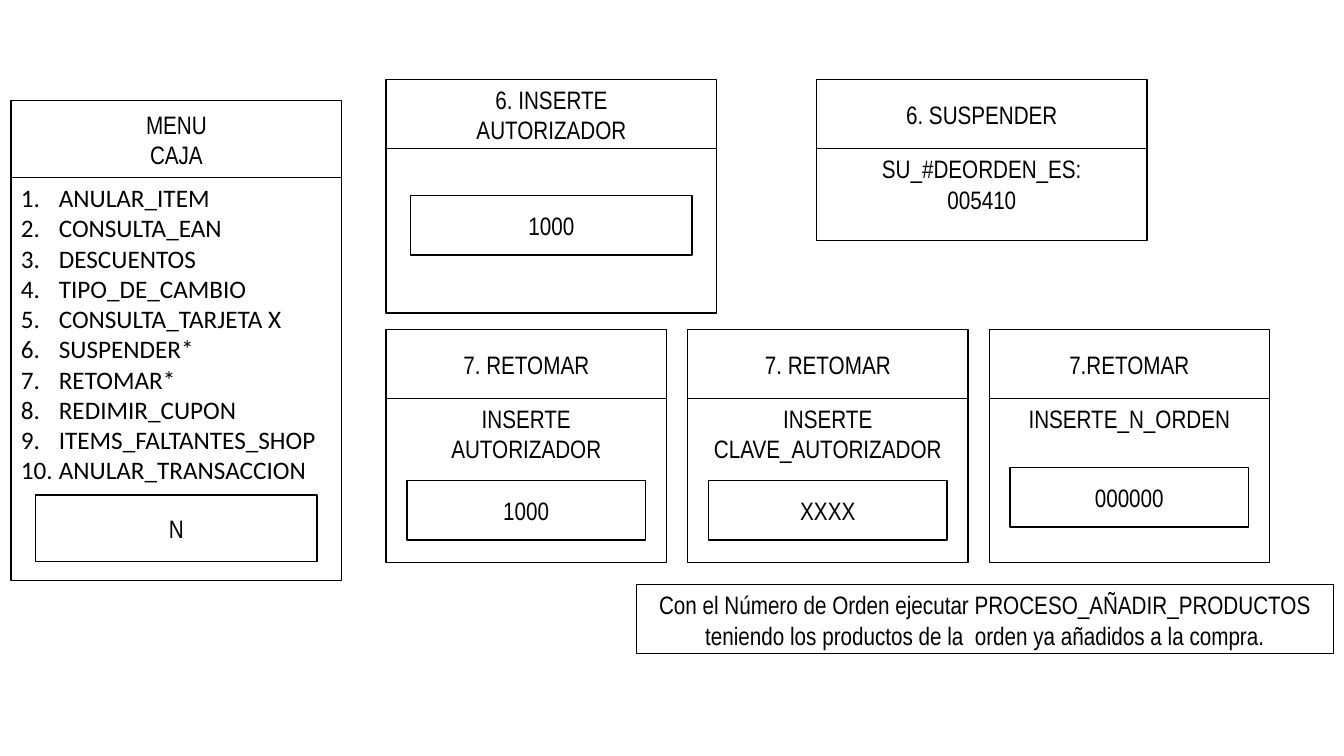
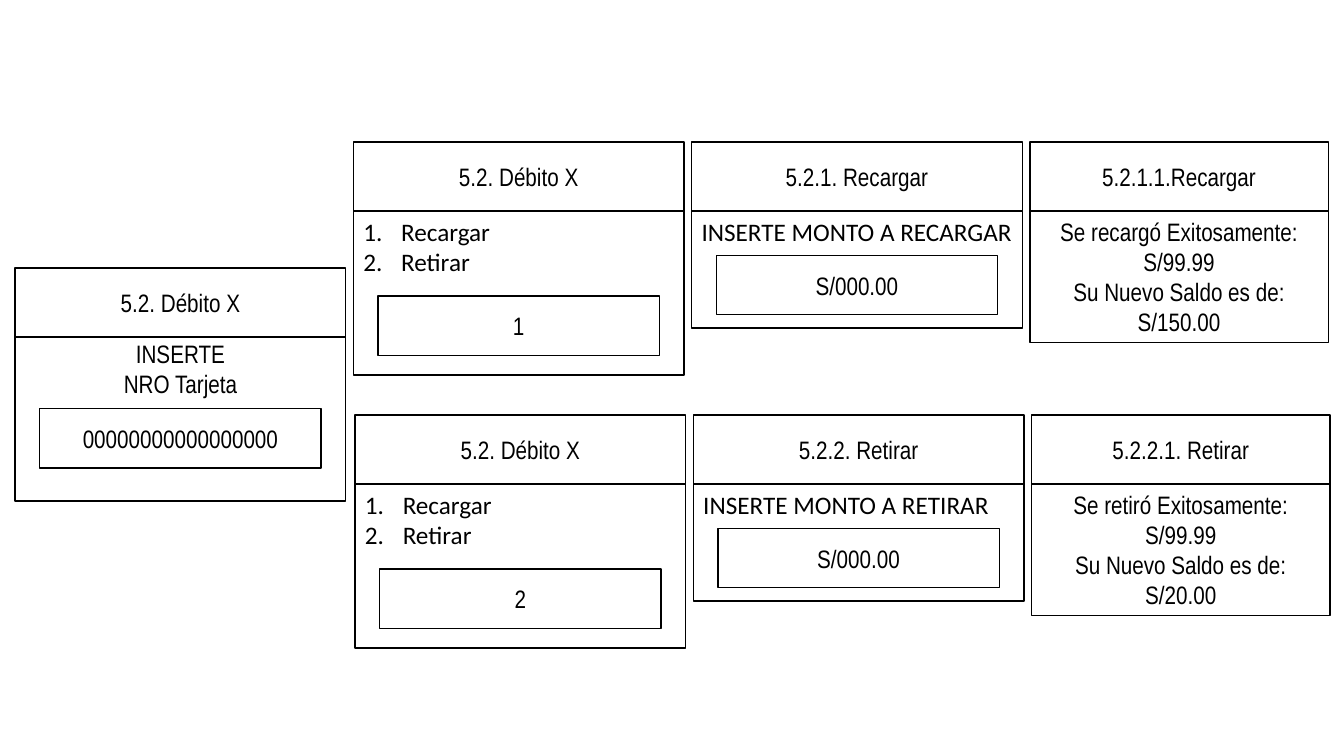
from lxml import etree
from pptx import Presentation
from pptx.dml.color import RGBColor
from pptx.enum.shapes import MSO_SHAPE
from pptx.enum.text import MSO_ANCHOR, PP_ALIGN
from pptx.oxml.ns import qn
from pptx.util import Pt

RECTANGLE = MSO_SHAPE.RECTANGLE
TOP, MIDDLE = MSO_ANCHOR.TOP, MSO_ANCHOR.MIDDLE
LEFT, CENTER = PP_ALIGN.LEFT, PP_ALIGN.CENTER

INK, PAPER = "000000", "FFFFFF"
NARROW, PLAIN = "Arial Narrow", "Calibri"
TEXT_SIZE = 18
LIST_INDENT = 27
TITLE_HEIGHT = 49.2
FIELD_HEIGHT = 42.5
WIDE, MEDIUM, SLIM = 236.2, 213.2, 200.2
WIDE_FIELD, SLIM_FIELD = 201, 170.6
TALL = 166.5


def color(hex_string):
    """Return the colour for a hex string."""
    return RGBColor.from_string(hex_string)


def number_paragraph(paragraph):
    """Give a paragraph automatic numbering with a hanging indent."""
    properties = paragraph._p.get_or_add_pPr()
    properties.set("marL", str(Pt(LIST_INDENT)))
    properties.set("indent", str(-Pt(LIST_INDENT)))
    numbering = etree.SubElement(properties, qn("a:buAutoNum"))
    numbering.set("type", "arabicPeriod")


def add_box(slide, left, top, width, height, lines=(), anchor=MIDDLE,
            align=CENTER, font=NARROW, numbered=False, top_inset=3.6):
    """Add an outlined rectangle with one paragraph per line of text."""
    shape = slide.shapes.add_shape(RECTANGLE, Pt(left), Pt(top), Pt(width), Pt(height))
    shape.shadow.inherit = False
    shape.fill.solid()
    shape.fill.fore_color.rgb = color(PAPER)
    shape.line.color.rgb = color(INK)
    shape.line.width = Pt(1)
    frame = shape.text_frame
    frame.word_wrap = True
    frame.vertical_anchor = anchor
    frame.margin_top = Pt(top_inset)
    for index, line in enumerate(lines):
        paragraph = frame.add_paragraph() if index else frame.paragraphs[0]
        paragraph.alignment = align
        if numbered:
            number_paragraph(paragraph)
        run = paragraph.add_run()
        run.text = line
        run.font.name = font
        run.font.size = Pt(TEXT_SIZE)
        run.font.color.rgb = color(INK)


def add_screen(slide, left, top, width, height, title, body=(), field=None,
               field_top=0, field_width=WIDE_FIELD, field_height=FIELD_HEIGHT,
               title_height=TITLE_HEIGHT, **body_style):
    """Add a screen: a body under a title band, with an optional centred field."""
    add_box(slide, left, top + title_height, width, height - title_height,
            body, anchor=TOP, **body_style)
    add_box(slide, left, top, width, title_height, title)
    if field:
        add_box(slide, left + (width - field_width) / 2, top + field_top,
                field_width, field_height, [field])


def build_menu_slide(slide):
    """Place the till menu and the suspend and resume screens."""
    menu = ["ANULAR_ITEM", "CONSULTA_EAN", "DESCUENTOS", "TIPO_DE_CAMBIO",
            "CONSULTA_TARJETA X", "SUSPENDER*", "RETOMAR*", "REDIMIR_CUPON",
            "ITEMS_FALTANTES_SHOP", "ANULAR_TRANSACCION"]
    add_screen(slide, 7.9, 72, WIDE, 342.5, ["MENU", "CAJA"], menu, "N", 281.5,
               field_height=47.5, title_height=54.8,
               align=LEFT, font=PLAIN, numbered=True)

    first_left, upper_top, lower_top = 275.8, 57, 235.4
    add_screen(slide, first_left, upper_top, WIDE, TALL,
               ["6. INSERTE", "AUTORIZADOR"], field="1000", field_top=82.8)
    add_screen(slide, 583.2, upper_top, WIDE, 114.7, ["6. SUSPENDER"],
               ["SU_#DEORDEN_ES:", "005410"])

    resume_screens = [
        ("7. RETOMAR", ["INSERTE", "AUTORIZADOR"], "1000", 108),
        ("7. RETOMAR", ["INSERTE", "CLAVE_AUTORIZADOR"], "XXXX", 108),
        ("7.RETOMAR", ["INSERTE_N_ORDEN"], "000000", 98.6),
    ]
    for index, (title, body, field, field_top) in enumerate(resume_screens):
        add_screen(slide, first_left + index * 215.4, lower_top, SLIM, TALL,
                   [title], body, field, field_top, SLIM_FIELD)

    add_box(slide, 454.8, 417.6, 497.6, 49.2,
            ["Con el Número de Orden ejecutar PROCESO_AÑADIR_PRODUCTOS "
             "teniendo los productos de la  orden ya añadidos a la compra."],
            anchor=TOP)


def add_card_row(slide, left, top, choice, amount_title, prompt, result_title, result):
    """Add the choice, amount and result screens of one card operation."""
    gap = 5.4
    add_screen(slide, left, top, WIDE, TALL, ["5.2. Débito X"],
               ["Recargar", "Retirar"], choice, 110,
               align=LEFT, font=PLAIN, numbered=True)
    left += WIDE + gap
    add_screen(slide, left, top, WIDE, 132.8, [amount_title], [prompt],
               "S/000.00", 80.8, align=LEFT, font=PLAIN)
    left += WIDE + gap
    add_screen(slide, left, top, MEDIUM, 143, [result_title], result)


def build_card_slide(slide):
    """Place the card screen and the rows for topping up and withdrawing."""
    add_screen(slide, 10.8, 191.5, WIDE, TALL, ["5.2. Débito X"],
               ["INSERTE", "NRO Tarjeta"], "00000000000000000", 100.2,
               top_inset=0.7)
    add_card_row(slide, 252.4, 101.5, "1", "5.2.1. Recargar",
                 "INSERTE MONTO A RECARGAR", "5.2.1.1.Recargar",
                 ["Se recargó Exitosamente:", "S/99.99",
                  "Su Nuevo Saldo es de:", "S/150.00"])
    add_card_row(slide, 253.6, 296.5, "2", "5.2.2. Retirar",
                 "INSERTE MONTO A RETIRAR", "5.2.2.1. Retirar",
                 ["Se retiró Exitosamente:", "S/99.99",
                  "Su Nuevo Saldo es de:", "S/20.00"])


def main():
    """Build and save the presentation."""
    presentation = Presentation()
    presentation.slide_width = Pt(960)
    presentation.slide_height = Pt(540)
    blank_layout = presentation.slide_layouts[6]
    for build_slide in (build_menu_slide, build_card_slide):
        build_slide(presentation.slides.add_slide(blank_layout))
    presentation.save("out.pptx")


if __name__ == "__main__":
    main()
